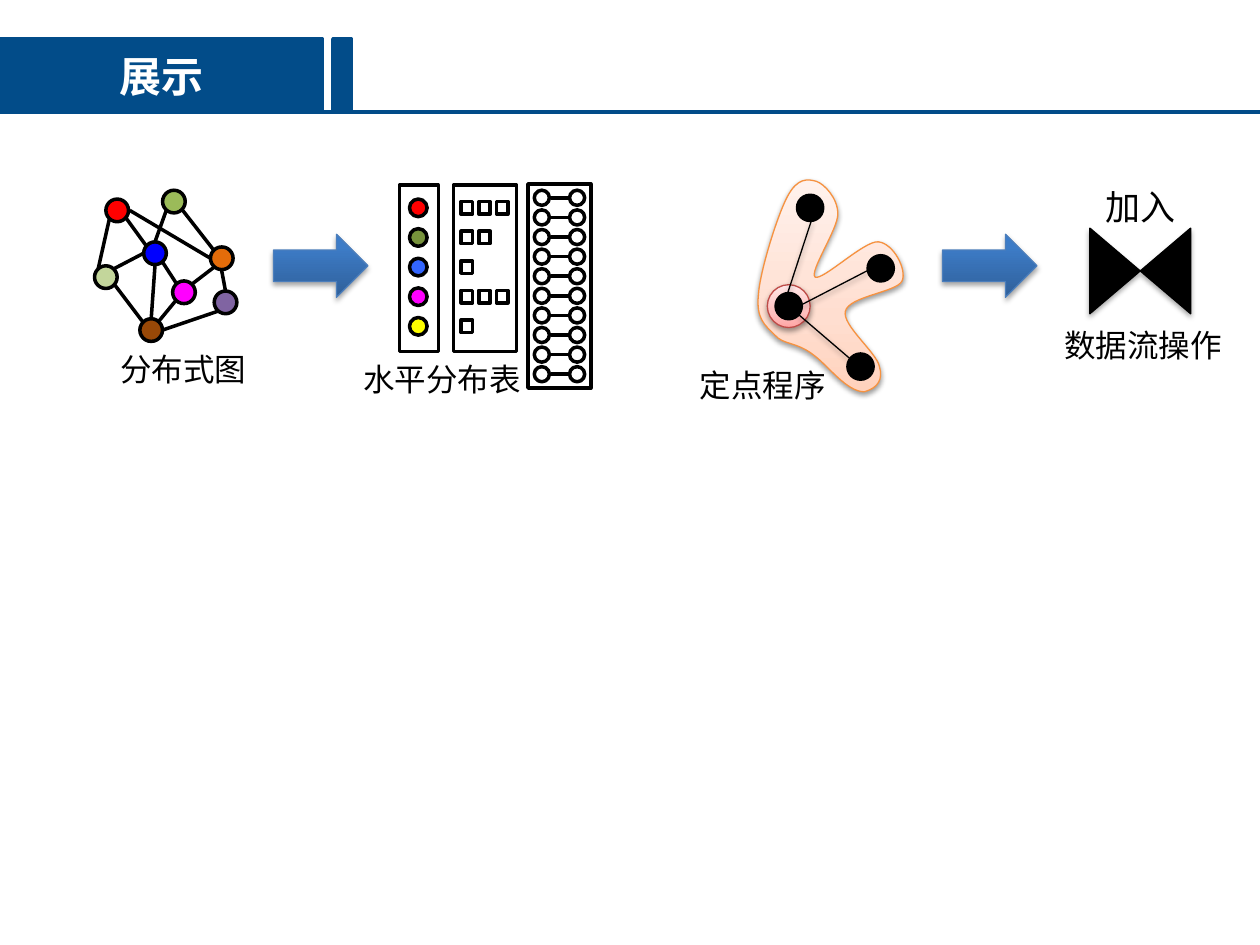
from typing import NamedTuple, Optional, Sequence

from lxml import etree
from copy import deepcopy
from pptx import Presentation
from pptx.dml.color import RGBColor
from pptx.enum.shapes import MSO_CONNECTOR, MSO_SHAPE
from pptx.enum.text import MSO_ANCHOR, PP_ALIGN
from pptx.oxml.ns import qn
from pptx.util import Inches, Pt

OVAL, RECT = MSO_SHAPE.OVAL, MSO_SHAPE.RECTANGLE
ARROW, COLLATE = MSO_SHAPE.RIGHT_ARROW, MSO_SHAPE.FLOWCHART_COLLATE
STRAIGHT = MSO_CONNECTOR.STRAIGHT
CENTER, MIDDLE = PP_ALIGN.CENTER, MSO_ANCHOR.MIDDLE
FONT = "Noto Sans CJK SC"

BLACK = RGBColor(0x00, 0x00, 0x00)
WHITE = RGBColor(0xFF, 0xFF, 0xFF)
NAVY = RGBColor(0x02, 0x4C, 0x89)
RED = RGBColor(0xFF, 0x00, 0x00)
BLUE = RGBColor(0x00, 0x00, 0xFF)
SKY = RGBColor(0x33, 0x66, 0xFF)
PINK = RGBColor(0xFF, 0x00, 0xFF)
YELLOW = RGBColor(0xFF, 0xFF, 0x00)
ORANGE = RGBColor(0xE4, 0x6C, 0x0A)
BROWN = RGBColor(0x98, 0x48, 0x07)
GREEN = RGBColor(0x9B, 0xBB, 0x59)
PALE = RGBColor(0xC3, 0xD6, 0x9B)
OLIVE = RGBColor(0x77, 0x93, 0x3C)
PURPLE = RGBColor(0x80, 0x64, 0xA2)
STEEL = RGBColor(0x4B, 0x7E, 0xBC)
AMBER = RGBColor(0xF6, 0x92, 0x40)
ROSE = RGBColor(0xBF, 0x4C, 0x48)


class Shade(NamedTuple):
    alpha: int
    dist: float


class Stop(NamedTuple):
    pos: float
    color: RGBColor


class Node(NamedTuple):
    x: float
    y: float
    color: RGBColor


class Edge(NamedTuple):
    x1: float
    y1: float
    x2: float
    y2: float


class Label(NamedTuple):
    x: float
    y: float
    w: float
    h: float
    text: str
    size: int = 18


class Row(NamedTuple):
    color: RGBColor
    count: int


DEEP, SOFT = Shade(35, 1.8), Shade(38, 1.6)
BLUES = [Stop(0, RGBColor(0x2F, 0x5F, 0x99)), Stop(0.8, RGBColor(0x3D, 0x7C, 0xC7)),
         Stop(1, RGBColor(0x3A, 0x7C, 0xCB))]
PEACH = [Stop(0, RGBColor(0xFF, 0xD2, 0xBD)), Stop(0.35, RGBColor(0xFF, 0xDE, 0xD0)),
         Stop(1, RGBColor(0xFF, 0xF2, 0xED))]
BLUSH = [Stop(0, RGBColor(0xFF, 0xA6, 0xA5)), Stop(0.35, RGBColor(0xFF, 0xC0, 0xBF)),
         Stop(1, RGBColor(0xFF, 0xE7, 0xE7))]

LINKS = [Edge(*e) for e in (
    (1.29, 2.08, 1.4, 2.25), (1.7, 2.12, 1.53, 2.25), (1.23, 2.11, 1.2, 2.53),
    (0.91, 2.26, 1.13, 2.55), (1.14, 2.01, 0.91, 2.13), (1.4, 2.38, 1.26, 2.55),
    (1.32, 1.67, 1.23, 1.92), (1.45, 1.67, 1.7, 1.99), (1.29, 2.62, 1.73, 2.47),
    (1.03, 1.67, 1.67, 2.05), (1.76, 2.15, 1.79, 2.31), (0.87, 1.73, 0.78, 2.13),
    (1, 1.73, 1.16, 1.95))]
NODES = [Node(0.75, 2.11, PALE), Node(1.14, 1.92, BLUE), Node(1.37, 2.23, PINK),
         Node(1.67, 1.96, ORANGE), Node(1.11, 2.53, BROWN), Node(1.29, 1.51, GREEN),
         Node(1.7, 2.31, PURPLE), Node(0.84, 1.58, RED)]
ROWS = [Row(RED, 3), Row(OLIVE, 2), Row(SKY, 1), Row(PINK, 3), Row(YELLOW, 1)]
SPOKES = [Edge(6.75, 2.85, 6.33, 2.49), Edge(6.44, 1.75, 6.25, 2.33),
          Edge(6.9, 2.14, 6.36, 2.42)]
DOTS = [(6.73, 2.81), (6.16, 2.33), (6.89, 2.03), (6.33, 1.55)]
# Start point, then three points for each curve.
BLOB = [(6.15, 2.66),
        (6.22, 2.74), (6.32, 2.71), (6.46, 2.82), (6.57, 2.9), (6.72, 3.11), (6.86, 3.11),
        (6.97, 3.08), (7.01, 3.01), (6.98, 2.91), (6.96, 2.8), (6.68, 2.58), (6.71, 2.47),
        (6.74, 2.35), (7.12, 2.32), (7.16, 2.23), (7.2, 2.14), (7.09, 1.93), (6.97, 1.92),
        (6.86, 1.91), (6.53, 2.23), (6.47, 2.2), (6.42, 2.16), (6.65, 1.82), (6.65, 1.7),
        (6.65, 1.57), (6.54, 1.46), (6.48, 1.44), (6.41, 1.42), (6.33, 1.41), (6.25, 1.56),
        (6.17, 1.71), (6.03, 2.16), (6.02, 2.34), (6, 2.53), (6.07, 2.58), (6.15, 2.66)]
LABELS = [Label(0.85, 2.73, 1.21, 0.4, "分布式图"), Label(2.78, 2.81, 1.46, 0.4, "水平分布表"),
          Label(8.65, 1.42, 0.8, 0.44, "加入", 20), Label(5.45, 2.86, 1.21, 0.4, "定点程序"),
          Label(8.34, 2.54, 1.46, 0.4, "数据流操作")]


def trim(item, color: RGBColor, width: float, shade: Optional[Shade]) -> None:
    """Set the line, and a shadow or none."""
    item.line.color.rgb = color
    item.line.width = Pt(width)
    effect = etree.SubElement(item._element.spPr, qn("a:effectLst"))
    if shade:
        outer = etree.SubElement(effect, qn("a:outerShdw"), blurRad=str(Pt(3.1)),
                                 dist=str(Pt(shade.dist)), dir="5400000", rotWithShape="0")
        tint = etree.SubElement(outer, qn("a:srgbClr"), val=str(BLACK))
        etree.SubElement(tint, qn("a:alpha"), val=str(shade.alpha * 1000))


def blend(shape, stops: Sequence[Stop]) -> None:
    """Fill with a three-stop gradient that runs upward."""
    shape.fill.gradient()
    shape.fill.gradient_angle = 90
    group = shape._element.spPr.find(".//" + qn("a:gsLst"))
    group.append(deepcopy(group[0]))
    for mark, stop in zip(shape.fill.gradient_stops, stops):
        mark.position = stop.pos
        mark.color.rgb = stop.color


def draw(slide, kind, x: float, y: float, w: float, h: float,
         fill: Optional[RGBColor] = None, line: RGBColor = BLACK,
         width: float = 2, shade: Optional[Shade] = None):
    shape = slide.shapes.add_shape(kind, Inches(x), Inches(y), Inches(w), Inches(h))
    if fill is None:
        shape.fill.background()
    else:
        shape.fill.solid()
        shape.fill.fore_color.rgb = fill
    trim(shape, line, width, shade)
    return shape


def link(slide, edge: Edge, color: RGBColor = BLACK, width: float = 2,
         shade: Optional[Shade] = None) -> None:
    item = slide.shapes.add_connector(STRAIGHT, *(Inches(v) for v in edge))
    trim(item, color, width, shade)


def write(frame, text: str, size: int, color: RGBColor, bold: bool = False) -> None:
    frame.text = text
    para = frame.paragraphs[0]
    para.alignment = CENTER
    font = para.runs[0].font
    font.size, font.bold, font.name = Pt(size), bold, FONT
    font.color.rgb = color
    etree.SubElement(font._element, qn("a:ea"), typeface=FONT)


def label(slide, item: Label) -> None:
    box = slide.shapes.add_textbox(*(Inches(v) for v in item[:4]))
    box.text_frame.word_wrap = False
    write(box.text_frame, item.text, item.size, BLACK)


def arrow(slide, x: float) -> None:
    blend(draw(slide, ARROW, x, 1.86, 0.75, 0.5, None, STEEL, 0.75, DEEP), BLUES)


def blob(slide) -> None:
    """Draw the closed outline, each three points as one curve."""
    start, *rest = [(Inches(x), Inches(y)) for x, y in BLOB]
    pen = slide.shapes.build_freeform(*start)
    pen.add_line_segments(rest, close=True)
    shape = pen.convert_to_shape()
    steps = shape._element.spPr.findall(".//" + qn("a:lnTo"))
    for i in range(0, len(steps), 3):
        curve = etree.Element(qn("a:cubicBezTo"))
        steps[i].addprevious(curve)
        for step in steps[i:i + 3]:
            curve.append(step[0])
            step.getparent().remove(step)
    blend(shape, PEACH)
    trim(shape, AMBER, 0.75, SOFT)


def graph(slide) -> None:
    for edge in LINKS:
        link(slide, edge)
    for node in NODES:
        draw(slide, OVAL, node.x, node.y, 0.18, 0.18, node.color)


def table(slide) -> None:
    """Draw the vertex, route and edge columns."""
    for x, y, w, h in ((3.17, 1.47, 0.31, 1.32), (3.6, 1.47, 0.5, 1.32),
                       (4.19, 1.46, 0.5, 1.62)):
        draw(slide, RECT, x, y, w, h)
    for i, row in enumerate(ROWS):
        y = 1.58 + i * 0.94 / 4
        draw(slide, OVAL, 3.25, y, 0.14, 0.14, row.color)
        for j in range(row.count):
            draw(slide, RECT, 3.66 + j * 0.14, y + 0.02, 0.09, 0.1)
    for i in range(10):
        y = 1.51 + i * 1.4 / 9
        link(slide, Edge(4.37, y + 0.06, 4.52, y + 0.06))
        for x in (4.24, 4.52):
            draw(slide, OVAL, x, y, 0.12, 0.12)


def program(slide) -> None:
    blob(slide)
    blend(draw(slide, OVAL, 6.09, 2.26, 0.34, 0.34, None, ROSE, 0.75, SOFT), BLUSH)
    for edge in SPOKES:
        link(slide, edge, width=0.75, shade=SOFT)
    for x, y in DOTS:
        draw(slide, OVAL, x, y, 0.2, 0.2, BLACK)


def header(slide) -> None:
    link(slide, Edge(0, 0.89, 10, 0.89), NAVY)
    title = draw(slide, RECT, 0, 0.31, 2.56, 0.58, NAVY, NAVY)
    title.text_frame.vertical_anchor = MIDDLE
    write(title.text_frame, "展示", 24, WHITE, True)
    draw(slide, RECT, 2.64, 0.31, 0.15, 0.58, NAVY, NAVY)


def main() -> None:
    deck = Presentation()
    deck.slide_width, deck.slide_height = Inches(10), Inches(7.5)
    slide = deck.slides.add_slide(deck.slide_layouts[6])
    graph(slide)
    table(slide)
    arrow(slide, 2.17)
    program(slide)
    arrow(slide, 7.48)
    join = draw(slide, COLLATE, 8.71, 1.75, 0.68, 0.8, BLACK, BLACK, 0.75, DEEP)
    join.rotation = 270
    for item in LABELS:
        label(slide, item)
    header(slide)
    deck.save("out.pptx")


if __name__ == "__main__":
    main()
